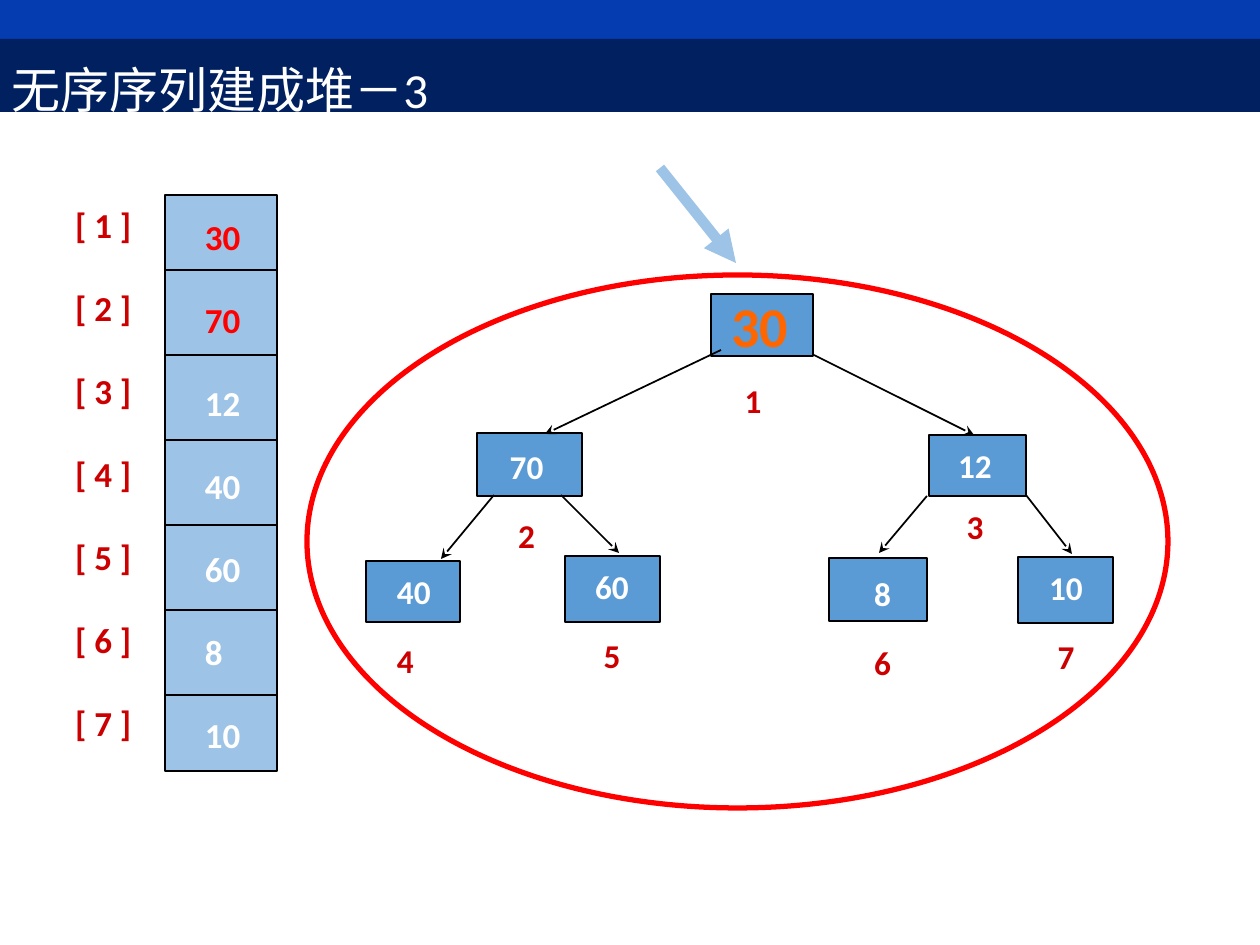
from typing import NamedTuple

import lxml.etree
import pptx
import pptx.dml.color
import pptx.enum.shapes
import pptx.enum.text
import pptx.oxml.ns
import pptx.util

"""Builds the slide that turns an unsorted sequence into a heap."""

PX = 914400 // 126
FONT = "Calibri"
BLACK, WHITE, RED, CRIMSON = "000000", "FFFFFF", "FF0000", "CC0000"
ORANGE, NODE_BLUE, PALE_BLUE = "FF6600", "5B9BD5", "9DC3E6"
RECTANGLE = pptx.enum.shapes.MSO_SHAPE.RECTANGLE
LEFT = pptx.enum.text.PP_ALIGN.LEFT
CENTER = pptx.enum.text.PP_ALIGN.CENTER


class Area(NamedTuple):
    left: int
    top: int
    width: int
    height: int


class Line(NamedTuple):
    text: str
    size: float
    color: str
    before: float = 0
    bold: bool = True


class Node(NamedTuple):
    area: Area
    caption: Area
    value: str
    index: str
    gap: float = 17
    align: int = CENTER


class Edge(NamedTuple):
    x1: int
    y1: int
    x2: int
    y2: int


NODES = [
    Node(Area(477, 433, 105, 63), Area(491, 441, 71, 121), "70", "2"),
    Node(Area(366, 561, 94, 61), Area(387, 566, 63, 121), "40", "4", align=LEFT),
    Node(Area(565, 556, 95, 66), Area(580, 561, 64, 121), "60", "5"),
    Node(Area(929, 435, 97, 61), Area(942, 440, 66, 112), "12", "3", gap=12),
    Node(Area(829, 558, 98, 63), Area(845, 568, 75, 121), "8", "6"),
    Node(Area(1018, 557, 95, 66), Area(1034, 562, 64, 121), "10", "7"),
]
EDGES = [
    Edge(721, 350, 545, 434),
    Edge(814, 355, 974, 435),
    Edge(494, 495, 441, 559),
    Edge(561, 495, 619, 553),
    Edge(927, 496, 879, 553),
    Edge(1026, 495, 1072, 554),
]
VALUES = ["30", "70", "12", "40", "60", "8", "10"]


def rgb(color: str) -> pptx.dml.color.RGBColor:
    return pptx.dml.color.RGBColor.from_string(color)


def emu(lengths) -> list[int]:
    return [length * PX for length in lengths]


def add_block(page, area: Area, fill: str, line: str = "", width: float = 1, kind=RECTANGLE):
    block = page.shapes.add_shape(kind, *emu(area))
    block.shadow.inherit = False
    block.fill.solid()
    block.fill.fore_color.rgb = rgb(fill)
    if line:
        block.line.color.rgb = rgb(line)
        block.line.width = pptx.util.Pt(width)
    else:
        block.line.fill.background()
    return block


def write_lines(box, lines: list[Line], align: int = LEFT, inset: tuple[int, int] = (10, 5)) -> None:
    frame = box.text_frame
    frame.word_wrap = True
    frame.vertical_anchor = pptx.enum.text.MSO_ANCHOR.TOP
    frame.margin_left = frame.margin_right = inset[0] * PX
    frame.margin_top = frame.margin_bottom = inset[1] * PX
    for number, line in enumerate(lines):
        para = frame.add_paragraph() if number else frame.paragraphs[0]
        para.alignment = align
        if line.before:
            para.space_before = pptx.util.Pt(line.before)
        span = para.add_run()
        span.text = line.text
        span.font.name = FONT
        span.font.size = pptx.util.Pt(line.size)
        span.font.bold = line.bold
        span.font.color.rgb = rgb(line.color)


def add_text(page, area: Area, lines: list[Line], align: int = LEFT, inset: tuple[int, int] = (10, 5)) -> None:
    write_lines(page.shapes.add_textbox(*emu(area)), lines, align, inset)


def add_line(page, edge: Edge, color: str = BLACK, width: float = 1, arrow: str = "") -> None:
    straight = pptx.enum.shapes.MSO_CONNECTOR.STRAIGHT
    connector = page.shapes.add_connector(straight, *emu(edge))
    connector.line.color.rgb = rgb(color)
    connector.line.width = pptx.util.Pt(width)
    if arrow:
        outline = connector.line._get_or_add_ln()
        lxml.etree.SubElement(outline, pptx.oxml.ns.qn("a:tailEnd"), type=arrow)
    lxml.etree.SubElement(connector._element.spPr, pptx.oxml.ns.qn("a:effectLst"))


def add_array(page) -> None:
    add_block(page, Area(165, 195, 112, 576), PALE_BLUE, BLACK)
    for row in range(len(VALUES) - 1):
        y = 270 + 85 * row
        add_line(page, Edge(164, y, 277, y))
    gaps = [23.5 if row else 0 for row in range(len(VALUES))]
    indexes = [Line(f"[ {row + 1} ]", 20, CRIMSON, gap) for row, gap in enumerate(gaps)]
    values = [
        Line(value, 20, RED if row < 2 else WHITE, gaps[row])
        for row, value in enumerate(VALUES)
    ]
    add_text(page, Area(62, 197, 95, 564), indexes, inset=(13, 6))
    add_text(page, Area(192, 209, 75, 564), values, inset=(13, 6))


def add_tree(page) -> None:
    add_block(page, Area(711, 294, 102, 62), NODE_BLUE, BLACK)
    for node in NODES:
        add_block(page, node.area, NODE_BLUE, BLACK)
        lines = [Line(node.value, 19, WHITE), Line(node.index, 19, CRIMSON, node.gap)]
        add_text(page, node.caption, lines, node.align)
    for edge in EDGES:
        add_line(page, edge, arrow="stealth")
    add_text(page, Area(695, 287, 130, 78), [Line("30", 32, ORANGE)], CENTER)
    add_text(page, Area(728, 375, 50, 51), [Line("1", 19, CRIMSON)], CENTER)


def main() -> None:
    deck = pptx.Presentation()
    deck.slide_width, deck.slide_height = emu((1260, 945))
    page = deck.slides.add_slide(deck.slide_layouts[6])
    add_block(page, Area(0, 0, 1260, 43), "053CAF")
    ellipse = pptx.enum.shapes.MSO_SHAPE.OVAL
    add_block(page, Area(307, 275, 861, 533), WHITE, RED, 3, ellipse)
    add_array(page)
    title = add_block(page, Area(-1, 39, 1264, 73), "002060")
    write_lines(title, [Line("无序序列建成堆－3", 28, WHITE, bold=False)], inset=(13, 6))
    title.text_frame.paragraphs[0].line_spacing = 1.25
    add_tree(page)
    add_line(page, Edge(660, 168, 736, 263), PALE_BLUE, 6, "triangle")
    deck.save("out.pptx")


if __name__ == "__main__":
    main()
